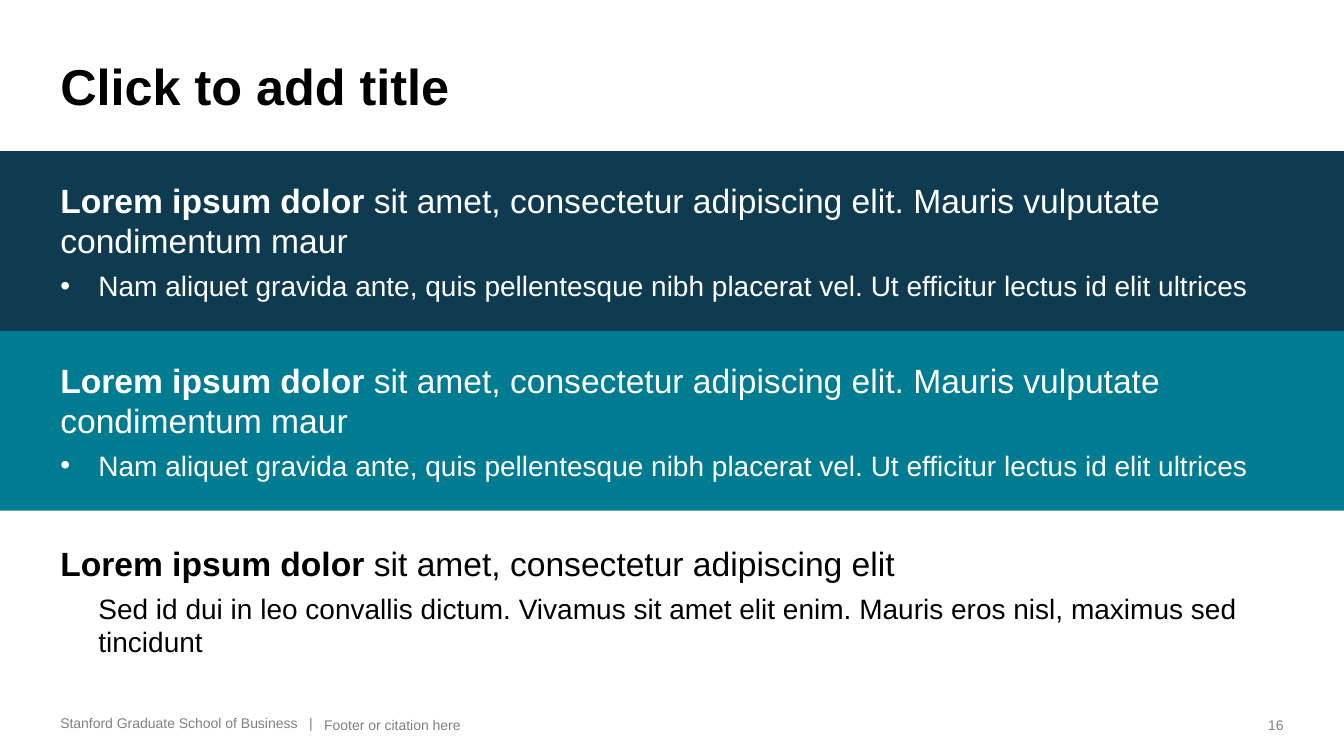
"""Build a title slide with three full-width text bands and a footer."""
from lxml import etree
from pptx import Presentation
from pptx import util as u
from pptx.dml import color
from pptx.enum import shapes, text
from pptx.oxml import ns

WIDE, HIGH = 33.87, 19.05
LEFT = 1.27
TOP, STEP = 3.81, 4.53
FOOT = 17.86
LEAD = "Lorem ipsum dolor "
LONG = "sit amet, consectetur adipiscing elit. Mauris vulputate condimentum maur"
NAM = ("Nam aliquet gravida ante, quis pellentesque nibh placerat vel. "
       "Ut efficitur lectus id elit ultrices")
SED = ("Sed id dui in leo convallis dictum. Vivamus sit amet elit enim. "
       "Mauris eros nisl, maximus sed tincidunt")
BANDS = [
    ("0E3B50", "FFFFFF", LONG, NAM, True),
    ("007C92", "FFFFFF", LONG, NAM, True),
    (None, "000000", "sit amet, consectetur adipiscing elit", SED, False),
]


def rgb(code):
    """Turn a hex string into a colour."""
    return color.RGBColor.from_string(code)


class Deck:
    """Hold the style and the current slide."""

    face = "Arial"
    gray = "808080"
    indent = 0.96

    def __init__(self):
        """Start a deck with one blank slide."""
        self.prs = Presentation()
        self.prs.slide_width = u.Cm(WIDE)
        self.prs.slide_height = u.Cm(HIGH)
        self.slide = self.prs.slides.add_slide(self.prs.slide_layouts[6])

    def font(self, para, size, ink, bold=None):
        """Set the font of a paragraph."""
        font = para.font
        font.name, font.size, font.bold = self.face, u.Pt(size), bold
        font.color.rgb = rgb(ink)

    def label(self, words, box, size, ink, bold=None, wrap=True,
              anchor=text.MSO_ANCHOR.BOTTOM, align=text.PP_ALIGN.LEFT):
        """Add a single line of text."""
        frame = self.slide.shapes.add_textbox(*map(u.Cm, box)).text_frame
        frame.word_wrap = wrap
        frame.vertical_anchor = anchor
        para = frame.paragraphs[0]
        para.text, para.alignment = words, align
        self.font(para, size, ink, bold)

    def inset(self, para, dot):
        """Indent a paragraph, with a hanging bullet if asked."""
        props = para._p.get_or_add_pPr()
        props.set("marL", str(u.Cm(self.indent)))
        props.set("indent", str(-u.Cm(self.indent) if dot else 0))
        if dot:
            etree.SubElement(props, ns.qn("a:buFont"), typeface=self.face)
            etree.SubElement(props, ns.qn("a:buChar"), char="•")
        else:
            etree.SubElement(props, ns.qn("a:buNone"))

    def band(self, top, fill, ink, rest, detail, dot):
        """Add a full-width band with a lead line and a detail line."""
        box = map(u.Cm, (0, top, WIDE, STEP))
        if fill:
            shape = self.slide.shapes.add_shape(
                shapes.MSO_SHAPE.RECTANGLE, *box)
            shape.shadow.inherit = False
            shape.fill.solid()
            shape.fill.fore_color.rgb = rgb(fill)
            shape.line.fill.background()
        else:
            shape = self.slide.shapes.add_textbox(*box)
        frame = shape.text_frame
        frame.word_wrap = True
        frame.vertical_anchor = text.MSO_ANCHOR.MIDDLE
        frame.margin_left = frame.margin_right = u.Cm(1.52)
        head, body = frame.paragraphs[0], frame.add_paragraph()
        head.alignment = body.alignment = text.PP_ALIGN.LEFT
        for words, bold in ((LEAD, True), (rest, False)):
            run = head.add_run()
            run.text, run.font.bold = words, bold
        self.font(head, 24, ink)
        body.text = detail
        body.space_before = u.Pt(6)
        self.inset(body, dot)
        self.font(body, 20, ink)


def main():
    """Build and save the slide."""
    deck = Deck()
    deck.label("Click to add title", (LEFT, 1.27, 31.33, 1.8), 36, "000000",
               bold=True, anchor=text.MSO_ANCHOR.TOP)
    for row, band in enumerate(BANDS):
        deck.band(TOP + row * STEP, *band)
    deck.label("Stanford Graduate School of Business   |",
               (LEFT, FOOT, 6.91, 0.69), 10, deck.gray, wrap=False)
    deck.label("Footer or citation here", (7.92, FOOT, 23.29, 0.74), 10,
               deck.gray)
    deck.label("16", (31.6, FOOT, 1, 0.74), 10, deck.gray, wrap=False,
               align=text.PP_ALIGN.RIGHT)
    deck.prs.save("out.pptx")


if __name__ == "__main__":
    main()
